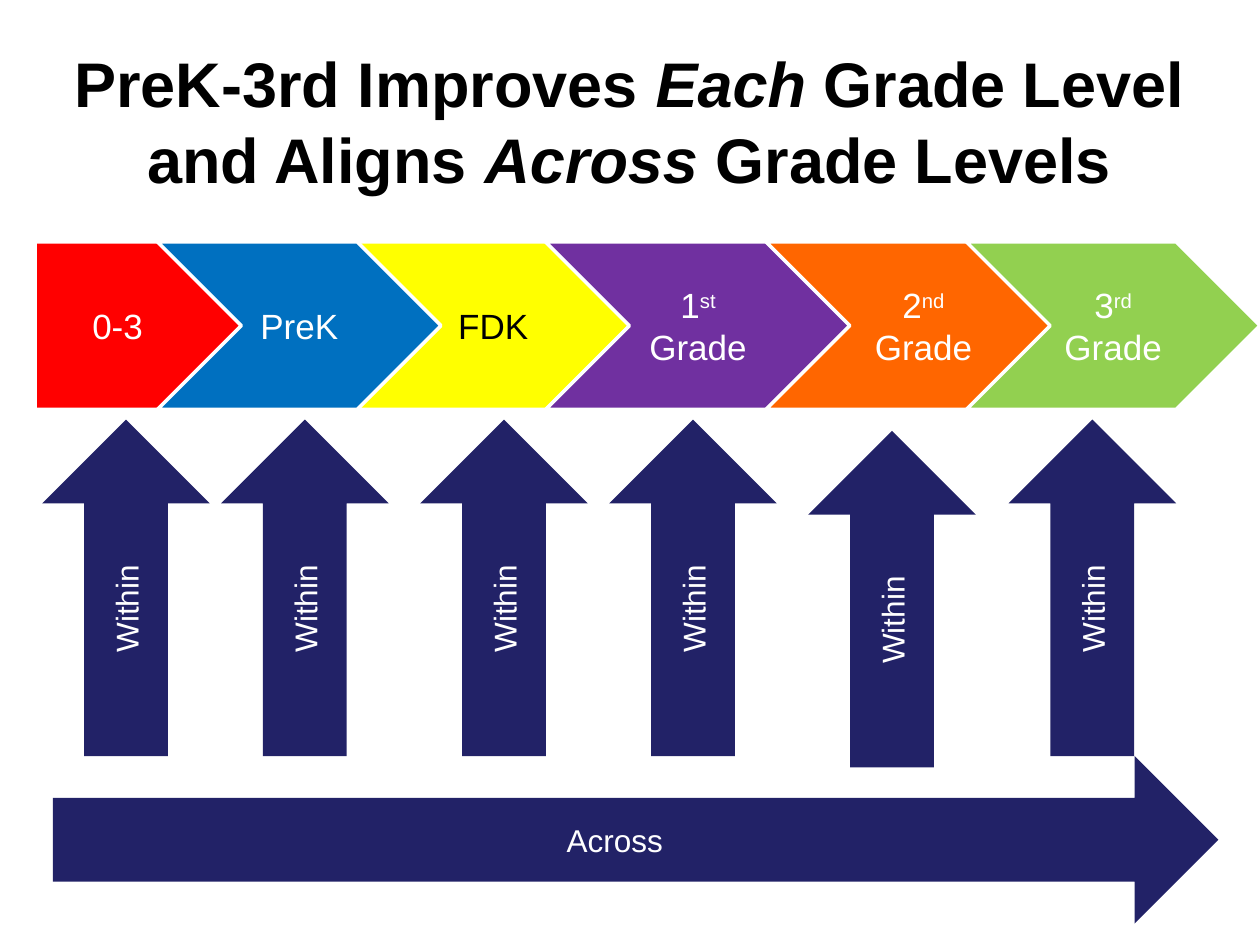
from pptx import Presentation
from pptx.dml.color import RGBColor
from pptx.enum.shapes import MSO_SHAPE as Shape
from pptx.enum.text import MSO_ANCHOR as Anchor, PP_ALIGN as Align
from pptx.util import Inches, Pt

NAVY, WHITE, BLACK = "222267", "FFFFFF", "000000"
BAND_HEIGHT = 1.33

# left, width, colour, text colour, label runs as (text, style), back to front
GRADES = [
    (0.28, 1.64, "FF0000", WHITE, [("0-3", "")]),
    (2.83, 2.17, "FFFF00", BLACK, [("FDK", "")]),
    (4.33, 2.42, "7030A0", WHITE, [("1", ""), ("st", "super"), (" Grade", "")]),
    (6.08, 2.5, "FF6600", WHITE, [("2", ""), ("nd", "super"), (" Grade", "")]),
    (7.67, 2.33, "92D050", WHITE, [("3", ""), ("rd", "super"), (" Grade", "")]),
    (1.25, 2.25, "0070C0", WHITE, [("PreK", "")]),
]
# centre and top of each upward arrow
WITHIN_ARROWS = [(1, 3.33), (2.42, 3.33), (4, 3.33), (5.5, 3.33), (7.08, 3.42), (8.67, 3.33)]


def rgb(colour):
    return RGBColor.from_string(colour)


def write(shape, runs, size, colour, bold=False):
    """Fill the shape with one centred paragraph of (text, style) runs."""
    frame = shape.text_frame
    frame.word_wrap = True
    frame.vertical_anchor = Anchor.MIDDLE
    paragraph = frame.paragraphs[0]
    paragraph.alignment = Align.CENTER
    for text, style in runs:
        run = paragraph.add_run()
        run.text = text
        font = run.font
        font.name, font.size, font.bold = "Arial", Pt(size), bold
        font.italic = style == "italic"
        font.color.rgb = rgb(colour)
        if style == "super":
            run._r.get_or_add_rPr().set("baseline", "30000")


def add_block(slide, kind, left, top, width, height, fill, outline=None):
    block = slide.shapes.add_shape(kind, Inches(left), Inches(top), Inches(width), Inches(height))
    block.shadow.inherit = False
    block.fill.solid()
    block.fill.fore_color.rgb = rgb(fill)
    if outline:
        block.line.color.rgb = rgb(outline)
        block.line.width = Pt(2)
    else:
        block.line.fill.background()
    return block


def add_title(slide, left, top, width, height):
    title = slide.shapes.add_textbox(Inches(left), Inches(top), Inches(width), Inches(height))
    write(title, [("PreK-3rd Improves ", ""), ("Each", "italic"),
                  (" Grade Level and Aligns ", ""), ("Across", "italic"),
                  (" Grade Levels", "")], size=36, colour=BLACK, bold=True)


def add_grade_band(slide, top, height):
    for index, (left, width, fill, colour, label) in enumerate(GRADES):
        kind = Shape.CHEVRON if index else Shape.PENTAGON
        grade = add_block(slide, kind, left, top, width, height, fill, outline=WHITE)
        write(grade, label, size=20, colour=colour)


def add_within_arrows(slide, length, breadth):
    """Right arrows turned to point up, so that their labels turn with them."""
    for centre, top in WITHIN_ARROWS:
        arrow = add_block(slide, Shape.RIGHT_ARROW, centre - length / 2,
                          top + (length - breadth) / 2, length, breadth, NAVY)
        arrow.rotation = 270
        write(arrow, [("Within", "")], size=18, colour=WHITE)


def add_across_arrow(slide, left, top, width, height):
    arrow = add_block(slide, Shape.RIGHT_ARROW, left, top, width, height, NAVY)
    write(arrow, [("Across", "")], size=18, colour=WHITE)


def main():
    deck = Presentation()
    deck.slide_width, deck.slide_height = Inches(10), Inches(7.5)
    slide = deck.slides.add_slide(deck.slide_layouts[6])
    add_across_arrow(slide, 0.42, 6, 9.25, BAND_HEIGHT)
    add_title(slide, 0.33, 0.33, 9.33, 1.25)
    add_within_arrows(slide, 2.67, BAND_HEIGHT)
    add_grade_band(slide, 1.92, BAND_HEIGHT)
    deck.save("out.pptx")


if __name__ == "__main__":
    main()
